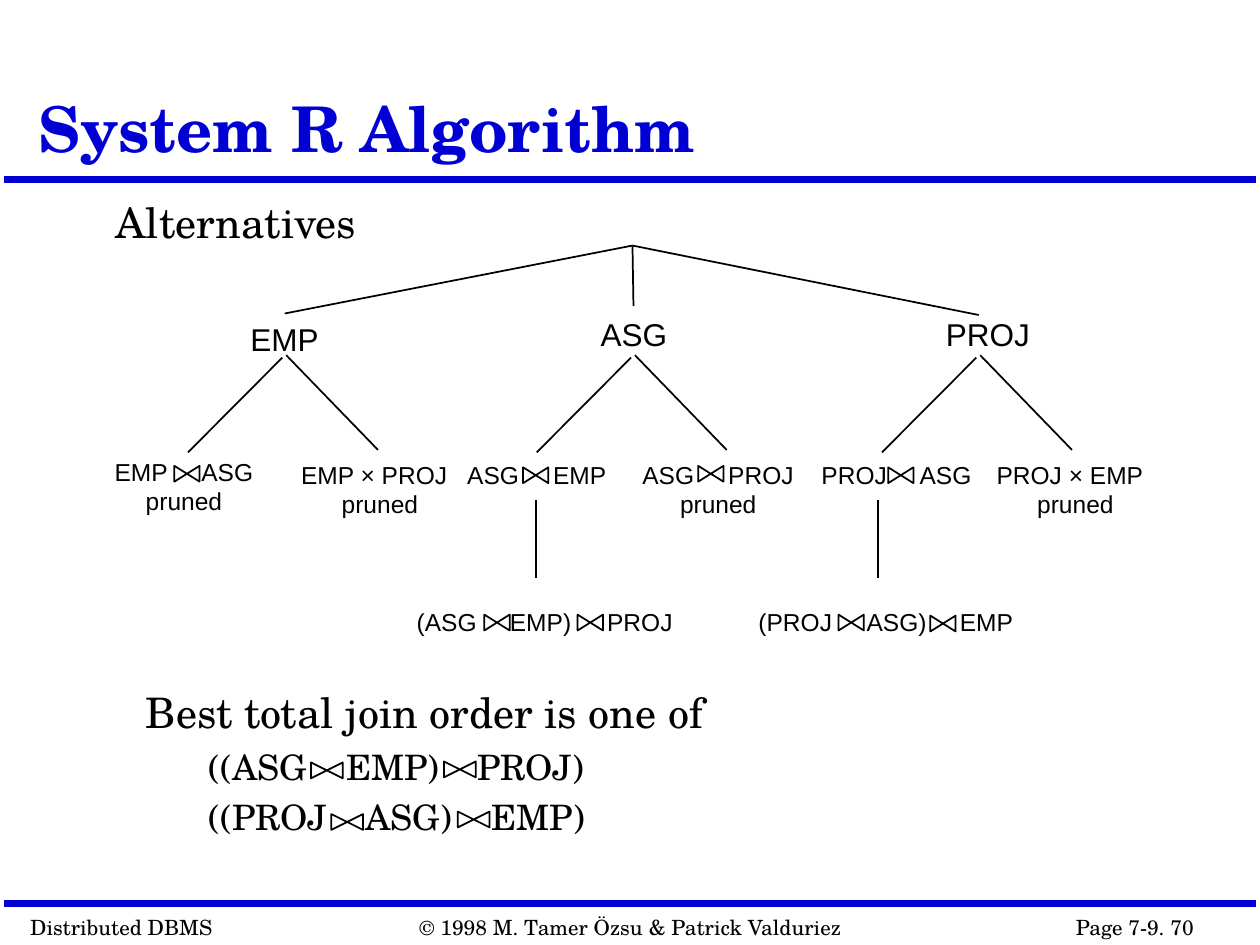
from lxml.etree import SubElement
from pptx import Presentation
from pptx.dml.color import RGBColor
from pptx.enum.shapes import MSO_CONNECTOR as CONN, MSO_SHAPE as SHAPE
from pptx.enum.text import MSO_ANCHOR as ANCHOR, PP_ALIGN as ALIGN
from pptx.oxml.ns import qn
from pptx.util import Cm, Pt

BLUE = RGBColor(0x00, 0x00, 0xD4)
BLACK = RGBColor(0x00, 0x00, 0x00)
SERIF, SANS = "TeX Gyre Schola", "Arial"

TITLE = "System R Algorithm"
RULES = [3.61, 18.21]
FOOTERS = [
    (0.36, 4.19, "Distributed DBMS"),
    (8.2, 9.07, "© 1998 M. Tamer Özsu & Patrick Valduriez"),
    (21.44, 3.96, "Page 7-9. 70"),
]

ROOT = (12.75, 4.95)
RELATIONS = [
    ("EMP", 4.8, 6.32, 1.88, (5.74, 6.32)),
    ("ASG", 11.86, 6.22, 1.85, (12.77, 6.17)),
    ("PROJ", 18.82, 6.22, 2.21, (19.73, 6.35)),
]
PAIRS = [
    (2.06, 9.09, 3.3, "EMP\tASG", [1.75], True),
    (5.82, 9.14, 3.68, "EMP × PROJ", [], True),
    (9.17, 9.14, 3.3, "ASG\tEMP", [1.73], False),
    (12.7, 9.14, 3.56, "ASG\tPROJ", [1.73], True),
    (16.31, 9.14, 3.56, "PROJ\tASG", [1.98], False),
    (19.84, 9.14, 3.68, "PROJ × EMP", [], True),
]
KEPT_X = [10.8, 17.7]
TRIPLES = [
    (8.15, "(ASG\tEMP)\tPROJ", [1.88, 3.84]),
    (15.04, "(PROJ\tASG)\tEMP", [2.18, 4.06]),
]
PLANS = [
    ("((ASG\tEMP)\tPROJ)", [2.77, 5.41]),
    ("((PROJ\tASG)\tEMP)", [3.16, 5.7]),
]
JOINS = {
    0.64: [(6.59, 15.53), (9.27, 15.51), (7, 16.57), (9.55, 16.52)],
    0.51: [
        (3.77, 9.55), (10.8, 9.58), (14.33, 9.55), (18.16, 9.58),
        (10.02, 12.55), (11.9, 12.55), (17.16, 12.55), (19.01, 12.57),
    ],
}

prs = Presentation()
prs.slide_width, prs.slide_height = Cm(25.4), Cm(19.05)
s = prs.slides.add_slide(prs.slide_layouts[6])


def add_line(start, end, color=BLACK, width=1):
    c = s.shapes.add_connector(CONN.STRAIGHT, *map(Cm, start + end))
    c.line.color.rgb = color
    c.line.width = Pt(width)
    SubElement(c._element.spPr, qn("a:effectLst"))


def add_box(x, y, w, h, anchor=ANCHOR.TOP):
    tf = s.shapes.add_textbox(Cm(x), Cm(y), Cm(w), Cm(h)).text_frame
    tf.word_wrap = True
    tf.margin_right = 0
    tf.vertical_anchor = anchor
    return tf


def style(p, text, size, font=SERIF, color=BLACK, bold=False, tabs=()):
    p.text = text
    if tabs:
        tab_list = SubElement(p._p.get_or_add_pPr(), qn("a:tabLst"))
        for pos in tabs:
            SubElement(tab_list, qn("a:tab"), pos=str(Cm(pos)), algn="l")
    p.font.size = Pt(size)
    p.font.name = font
    p.font.bold = bold
    p.font.color.rgb = color
    return p


def add_join(x, y, length, thick=0.32):
    sp = s.shapes.add_shape(SHAPE.FLOWCHART_COLLATE, Cm(x - thick / 2),
                            Cm(y - length / 2), Cm(thick), Cm(length))
    sp.rotation = 270
    sp.shadow.inherit = False
    sp.fill.background()
    sp.line.color.rgb = BLACK
    sp.line.width = Pt(1)


for y in RULES:
    add_line((0.08, y), (25.32, y), BLUE, 4)
for x, w, text in FOOTERS:
    style(add_box(x, 18.31, w, 0.76).paragraphs[0], text, 12)

p = add_box(0.53, 0.3, 19.89, 3.18, ANCHOR.BOTTOM).paragraphs[0]
style(p, TITLE, 36, color=BLUE, bold=True).line_spacing = 0.9
style(add_box(2.08, 3.84, 5.36, 1.27).paragraphs[0], "Alternatives", 24)

for name, x, y, w, (apex, branch_y) in RELATIONS:
    style(add_box(x, y, w, 1.02).paragraphs[0], name, 18, SANS)
    add_line(ROOT, (apex, branch_y))
    add_line((apex + 0.03, 7.16), (apex + 1.88, 9.07))
    add_line((apex - 0.05, 7.21), (apex - 1.95, 9.12))

for x, y, w, text, tabs, pruned in PAIRS:
    tf = add_box(x, y, w, 1.42 if pruned else 0.84)
    style(tf.paragraphs[0], text, 14, SANS, tabs=tabs)
    if pruned:
        p = style(tf.add_paragraph(), "pruned", 14, SANS)
        p.alignment = ALIGN.CENTER
        p._p.get_or_add_pPr().set("marR", str(Cm(0.25)))

for x in KEPT_X:
    add_line((x, 10.08), (x, 11.66))
for x, text, tabs in TRIPLES:
    style(add_box(x, 12.12, 5.79, 0.84).paragraphs[0], text, 14, SANS, tabs=tabs)

p = add_box(2.69, 13.82, 19.89, 1.1).paragraphs[0]
style(p, "Best total join order is one of", 24).line_spacing = 0.9
tf = add_box(3.96, 14.99, 18.62, 2.3)
for i, (text, tabs) in enumerate(PLANS):
    p = tf.add_paragraph() if i else tf.paragraphs[0]
    style(p, text, 20, tabs=tabs).line_spacing = 0.9
    if i:
        p.space_before = Pt(7.5)

for length, centers in JOINS.items():
    for x, y in centers:
        add_join(x, y, length)

prs.save("out.pptx")
